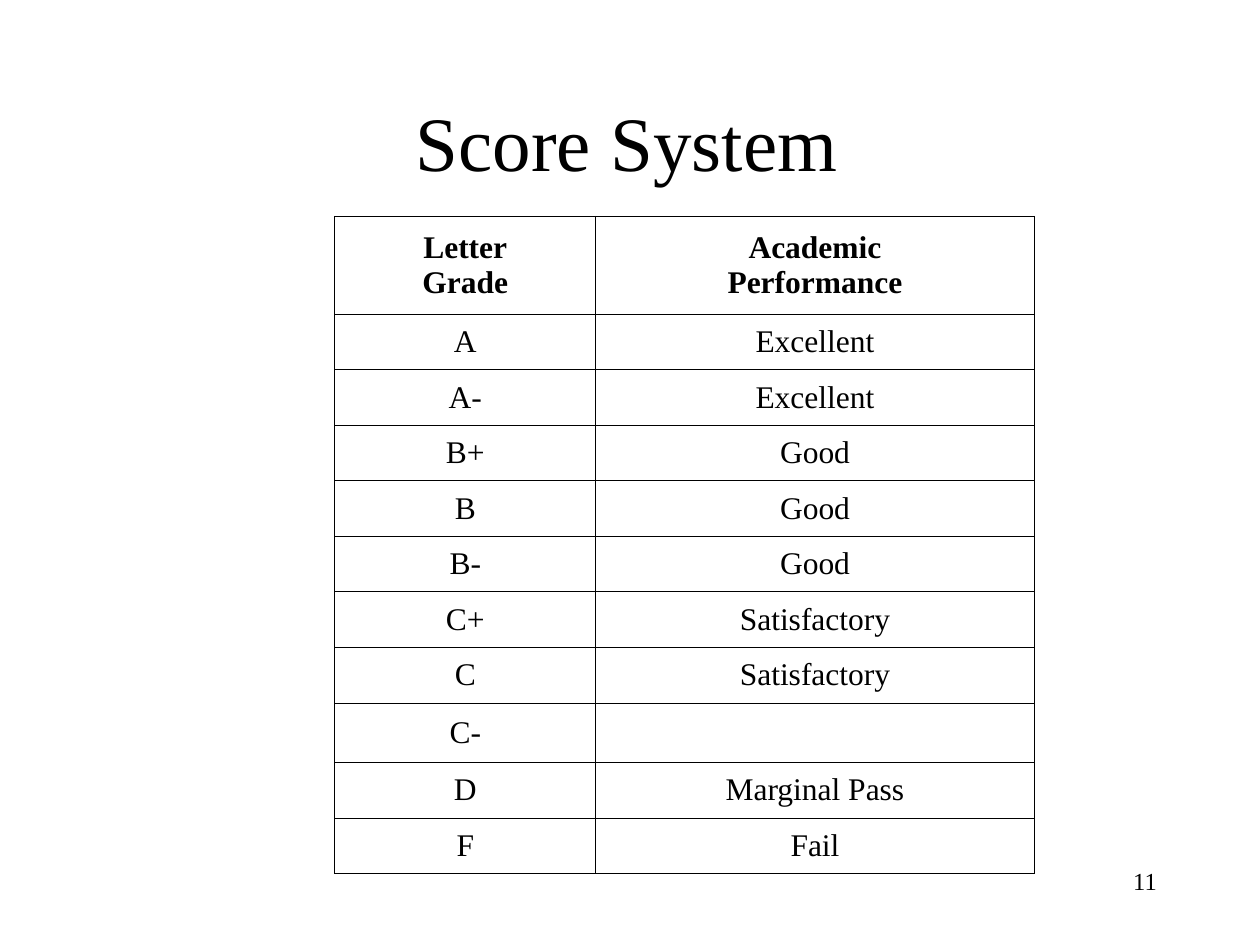
from dataclasses import dataclass

from lxml.etree import SubElement
from pptx import Presentation
from pptx.dml.color import RGBColor
from pptx.enum.text import MSO_ANCHOR, PP_ALIGN
from pptx.oxml.ns import qn
from pptx.util import Cm, Pt


@dataclass(frozen=True)
class Theme:
    face: str = "Times New Roman"
    ink: str = "000000"
    title: int = 44
    body: int = 18
    number: int = 14
    rule: float = 0.45


THEME = Theme()

GRADES = [
    ("Letter\nGrade", "Academic\nPerformance"),
    ("A", "Excellent"),
    ("A-", "Excellent"),
    ("B+", "Good"),
    ("B", "Good"),
    ("B-", "Good"),
    ("C+", "Satisfactory"),
    ("C", "Satisfactory"),
    ("C-", ""),
    ("D", "Marginal Pass"),
    ("F", "Fail"),
]
WIDTHS = (5.26, 8.84)
HEAD, ROW, TALL = 1.97, 1.12, 1.2


def write(frame, text, size, align, bold=False):
    frame.text = text
    for para in frame.paragraphs:
        para.alignment = align
        font = para.font
        font.name = THEME.face
        font.size = Pt(size)
        font.bold = bold
        font.color.rgb = RGBColor.from_string(THEME.ink)


def add_text(slide, box, text, size, align, top=0.13):
    frame = slide.shapes.add_textbox(*map(Cm, box)).text_frame
    frame.word_wrap = True
    frame.margin_top = Cm(top)
    write(frame, text, size, align)


def add_rules(cell):
    """Draw a thin line on all four sides of the cell."""
    props = cell._tc.get_or_add_tcPr()
    for side in ("a:lnL", "a:lnR", "a:lnT", "a:lnB"):
        line = SubElement(props, qn(side), w=str(Pt(THEME.rule)))
        fill = SubElement(line, qn("a:solidFill"))
        SubElement(fill, qn("a:srgbClr"), val=THEME.ink)


def add_grades(slide, left, top):
    heights = [HEAD] + [ROW if mark else TALL for _, mark in GRADES[1:]]
    table = slide.shapes.add_table(
        len(GRADES), len(WIDTHS),
        Cm(left), Cm(top), Cm(sum(WIDTHS)), Cm(sum(heights)),
    ).table
    table.first_row = table.horz_banding = False
    for col, width in zip(table.columns, WIDTHS):
        col.width = Cm(width)
    for i, (row, texts) in enumerate(zip(table.rows, GRADES)):
        row.height = Cm(heights[i])
        for cell, text in zip(row.cells, texts):
            write(cell.text_frame, text, THEME.body, PP_ALIGN.CENTER, i == 0)
            cell.vertical_anchor = MSO_ANCHOR.MIDDLE
            add_rules(cell)
            cell.fill.background()


def main():
    deck = Presentation()
    deck.slide_width, deck.slide_height = Cm(25.4), Cm(19.05)
    slide = deck.slides.add_slide(deck.slide_layouts[6])
    add_text(slide, (18.29, 17.32, 5.28, 1.27), "11", THEME.number,
             PP_ALIGN.RIGHT)
    add_text(slide, (1.4, 1.6, 22.86, 3.18), "Score System ", THEME.title,
             PP_ALIGN.CENTER, top=0.3)
    add_grades(slide, 6.75, 4.36)
    deck.save("out.pptx")


if __name__ == "__main__":
    main()
